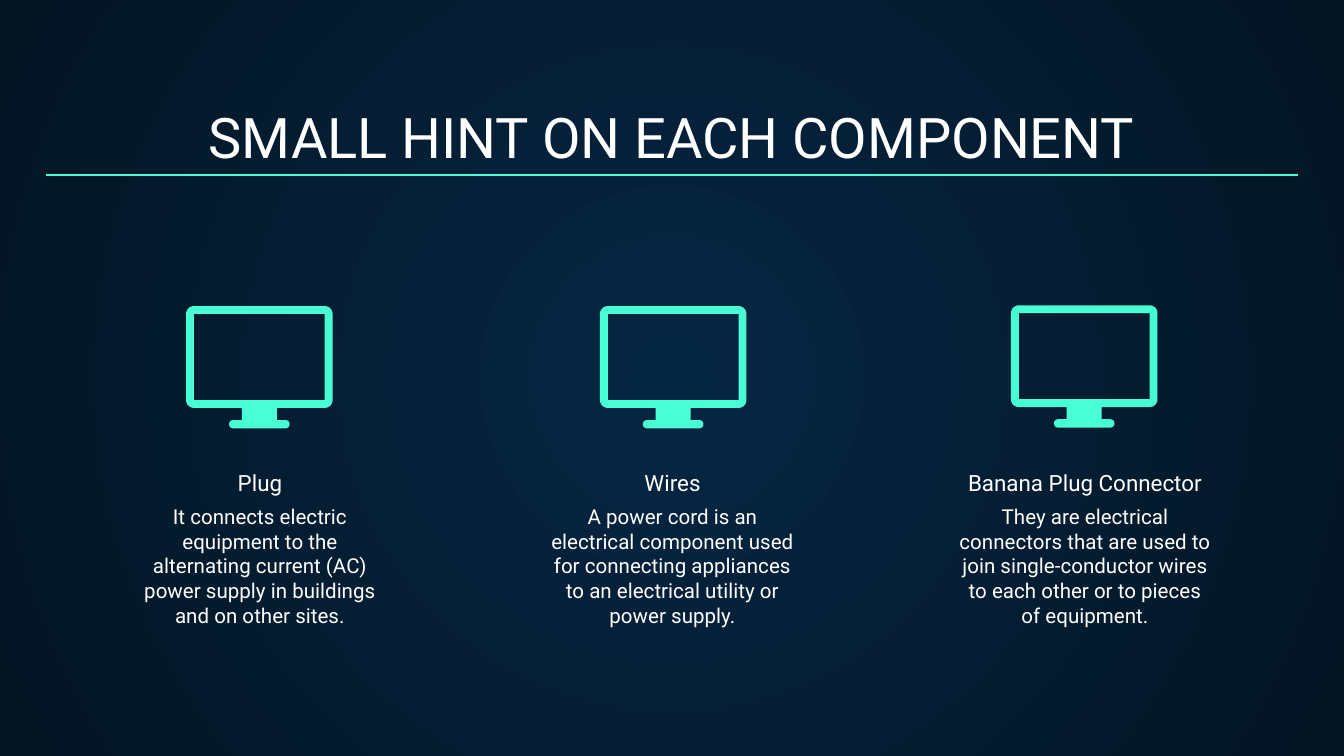
"""Build a slide with a hint on each of three components."""
from math import cos, radians, sin

from lxml import etree
from pptx import Presentation
from pptx.dml.color import RGBColor
from pptx.enum.shapes import MSO_CONNECTOR
from pptx.enum.text import MSO_ANCHOR, MSO_AUTO_SIZE, PP_ALIGN
from pptx.oxml.ns import qn
from pptx.util import Pt

TOP, BOTTOM = MSO_ANCHOR.TOP, MSO_ANCHOR.BOTTOM
CENTER = PP_ALIGN.CENTER
FIXED = MSO_AUTO_SIZE.NONE
STRAIGHT = MSO_CONNECTOR.STRAIGHT

FONT = "Roboto"
WHITE, MINT = "FFFFFF", "48FFD5"
GLOW, NIGHT = "052643", "041523"
LEFT, STEP = 64.8, 221

# Name, hint, and left and top of the icon
PARTS = [
    ("Plug",
     "It connects electric equipment to the alternating current (AC) "
     "power supply in buildings and on other sites.", 99.7, 164),
    ("Wires",
     "A power cord is an electrical component used for connecting "
     "appliances to an electrical utility or power supply.", 321.4, 164),
    ("Banana Plug Connector",
     "They are electrical connectors that are used to join "
     "single-conductor wires to each other or to pieces of equipment.",
     541.6, 163.6),
]


def color(code):
    """Turn a hex string into a colour."""
    return RGBColor.from_string(code)


def paint(slide):
    """Fill the background with a glow from the middle."""
    fill = slide.background.fill
    fill.gradient()
    for stop, code, place in zip(fill.gradient_stops, (GLOW, NIGHT), (0, 1)):
        stop.color.rgb = color(code)
        stop.position = place
    grad = slide.element.find(".//" + qn("a:gradFill"))
    grad.remove(grad.find(qn("a:lin")))
    path = etree.SubElement(grad, qn("a:path"), path="circle")
    sides = dict.fromkeys("ltrb", "50000")
    etree.SubElement(path, qn("a:fillToRect"), **sides)


def write(shape, text, size, anchor):
    """Put one centred run of text into a shape."""
    frame = shape.text_frame
    frame.word_wrap = True
    frame.auto_size = FIXED
    frame.vertical_anchor = anchor
    frame.margin_left = frame.margin_right = Pt(7.2)
    frame.margin_top = frame.margin_bottom = Pt(7.2)
    para = frame.paragraphs[0]
    para.alignment = CENTER
    run = para.add_run()
    run.text = text
    run.font.name = FONT
    run.font.size = Pt(size)
    run.font.color.rgb = color(WHITE)


def add_title(slide, text):
    """Place and fill the title."""
    title = slide.shapes.title
    title.left, title.top = Pt(24.5), Pt(50.4)
    title.width, title.height = Pt(671), Pt(47.5)
    write(title, text, 30, BOTTOM)


def add_text(slide, box, text, size, anchor):
    """Add a text box."""
    shape = slide.shapes.add_textbox(*map(Pt, box))
    write(shape, text, size, anchor)


def add_rule(slide):
    """Draw the line under the title."""
    ends = map(Pt, (24.5, 93.7, 695.5, 93.7))
    rule = slide.shapes.add_connector(STRAIGHT, *ends)
    rule.line.color.rgb = color(MINT)
    rule.line.width = Pt(0.75)
    etree.SubElement(rule.element.spPr, qn("a:effectLst"))


def arc(x, y, radius, start, sweep=90):
    """List points along an arc, clockwise from the start angle."""
    turns = [radians(start + sweep * i / 8) for i in range(9)]
    return [(x + radius * cos(t), y + radius * sin(t)) for t in turns]


def add_screen(slide, left, top):
    """Draw a monitor with an open screen."""
    outer = [
        *arc(4.2, 4.2, 4.2, 180), *arc(74.3, 4.2, 4.2, 270),
        *arc(74.3, 50.3, 4.2, 0), (48.6, 54.5), (48.6, 61),
        *arc(53.25, 63.25, 2.25, -90, 180),
        *arc(25.25, 63.25, 2.25, 90, 180),
        (29.9, 61), (29.9, 54.5), *arc(4.2, 50.3, 4.2, 90),
    ]
    inner = [(4.2, 4.2), (74.3, 4.2), (74.3, 50.3), (4.2, 50.3)]
    outer, inner = [[(Pt(x), Pt(y)) for x, y in ring]
                    for ring in (outer, inner)]
    pen = slide.shapes.build_freeform(*outer[0])
    pen.add_line_segments(outer[1:], close=True)
    pen.move_to(*inner[0])
    pen.add_line_segments(inner[1:], close=True)
    shape = pen.convert_to_shape(Pt(left), Pt(top))
    shape.shadow.inherit = False
    shape.fill.solid()
    shape.fill.fore_color.rgb = color(MINT)
    shape.line.fill.background()


def main():
    """Build and save the slide."""
    deck = Presentation()
    deck.slide_width, deck.slide_height = Pt(720), Pt(405)
    slide = deck.slides.add_slide(deck.slide_layouts[5])
    paint(slide)
    add_title(slide, "SMALL HINT ON EACH COMPONENT")
    add_rule(slide)
    for i, (name, hint, left, top) in enumerate(PARTS):
        x = LEFT + i * STEP
        add_text(slide, (x, 262.8, 149, 39.6), hint, 11, TOP)
        add_text(slide, (x - 7.5, 257.8, 164, 15), name, 12, BOTTOM)
        add_screen(slide, left, top)
    deck.save("out.pptx")


if __name__ == "__main__":
    main()
